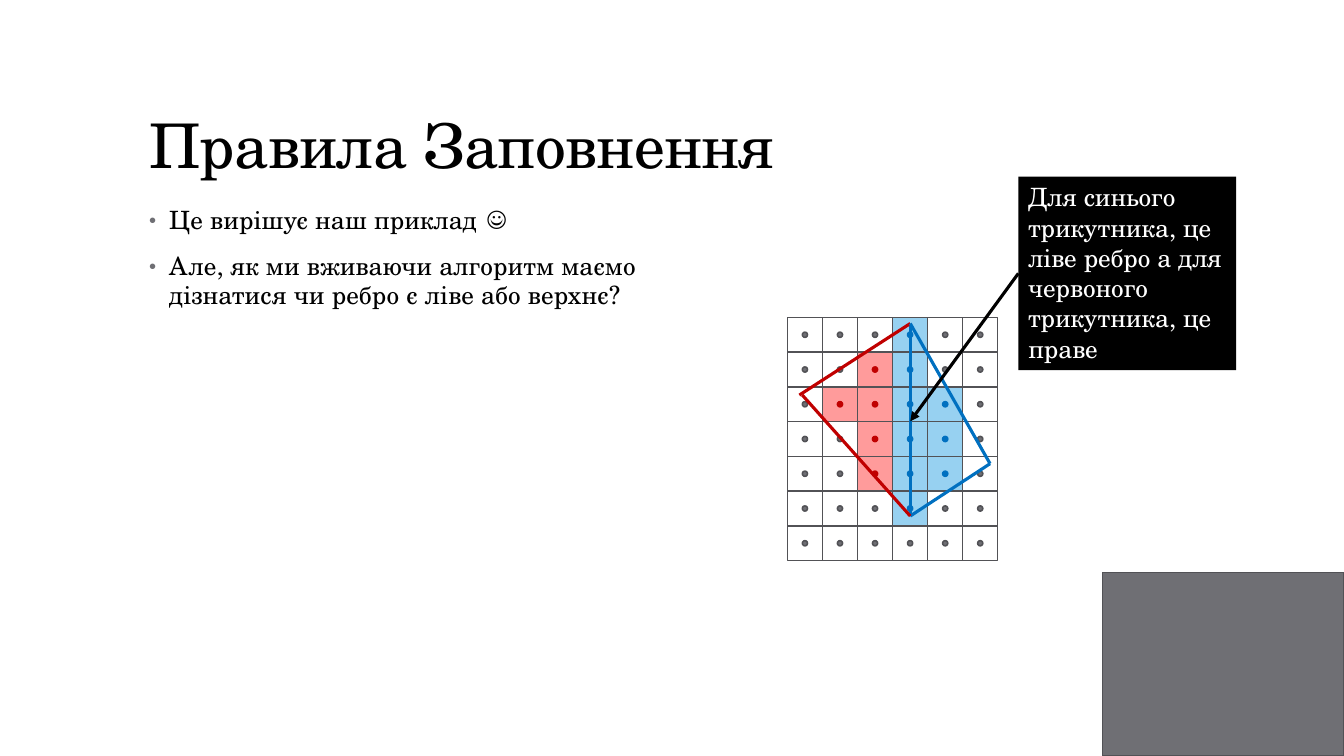
import pptx
import pptx.util
import pptx.dml.color
import pptx.enum.shapes
import pptx.enum.text
import pptx.oxml.ns
import lxml.etree
from dataclasses import dataclass

Pt = pptx.util.Pt
SHAPE = pptx.enum.shapes.MSO_SHAPE
ANCHOR = pptx.enum.text.MSO_ANCHOR


@dataclass(frozen=True)
class Theme:
    font: str = "TeX Gyre Schola"
    title_size: float = 44
    text_size: float = 18
    black: str = "000000"
    white: str = "FFFFFF"
    grey: str = "6F6F74"
    outline: str = "525256"
    blue: str = "0070C0"
    red: str = "C00000"
    pale_blue: str = "97D1F1"
    pale_red: str = "FF9B9B"
    thin: float = 1.1
    thick: float = 2.25


THEME = Theme()

# Content: lengths in points
TITLE = "Правила Заповнення"
BULLETS = [  # text, top, height
    ("Це вирішує наш приклад ☺", 144, 33),
    ("Але, як ми вживаючи алгоритм маємо дізнатися чи ребро є ліве або верхнє?", 177, 60.5),
]
CALLOUT = "Для синього трикутника, це ліве ребро а для червоного трикутника, це праве"

# Pixels by row: R is red, B is blue, a dot is not filled
PIXELS = [
    "...B..",
    "..RB..",
    ".RRBB.",
    "..RBB.",
    "..RBB.",
    "...B..",
    "......",
]
PIXEL_COLOURS = {  # cell fill, dot fill, dot outline
    ".": (None, THEME.grey, THEME.outline),
    "R": (THEME.pale_red, THEME.red, THEME.red),
    "B": (THEME.pale_blue, THEME.blue, THEME.blue),
}
GRID_LEFT, GRID_TOP = 562.4, 226.7
CELL_WIDTH, CELL_HEIGHT = 25.05, 24.82
DOT = 3.7

APEX, BASE, BLUE_CORNER = (650.2, 231.1), (650.2, 368.6), (707.2, 331.2)
EDGES = [
    (APEX, BASE, THEME.blue),
    (APEX, (571, 282.2), THEME.red),
    (BLUE_CORNER, APEX, THEME.blue),
    (BASE, BLUE_CORNER, THEME.blue),
    (BASE, (573.1, 282.2), THEME.red),
]
SHARED_EDGE_MIDDLE = (650.2, 301)


def rgb(colour):
    return pptx.dml.color.RGBColor.from_string(colour)


def add_child(parent, tag, **attributes):
    child = lxml.etree.SubElement(parent, pptx.oxml.ns.qn(tag))
    for name, value in attributes.items():
        child.set(name, value)
    return child


def write(frame, text, *, size=THEME.text_size, colour=THEME.black, anchor=ANCHOR.TOP,
          line_spacing=None, tracking=None, bullet=False):
    frame.word_wrap = True
    frame.auto_size = pptx.enum.text.MSO_AUTO_SIZE.NONE
    frame.vertical_anchor = anchor
    paragraph = frame.paragraphs[0]
    paragraph.alignment = pptx.enum.text.PP_ALIGN.LEFT
    if line_spacing:
        paragraph.line_spacing = line_spacing
    if bullet:
        properties = paragraph._p.get_or_add_pPr()
        properties.set("marL", str(Pt(14.4)))
        properties.set("indent", str(-Pt(14.4)))
        add_child(add_child(properties, "a:buClr"), "a:srgbClr", val=THEME.grey)
        add_child(properties, "a:buSzPct", val="80000")
        add_child(properties, "a:buFont", typeface="Arial")
        add_child(properties, "a:buChar", char="•")
    run = paragraph.add_run()
    run.text = text
    run.font.name = THEME.font
    run.font.size = Pt(size)
    run.font.color.rgb = rgb(colour)
    if tracking:
        run._r.get_or_add_rPr().set("spc", str(tracking))


def add_block(slide, kind, left, top, width, height, fill=None, outline=None):
    block = slide.shapes.add_shape(kind, Pt(left), Pt(top), Pt(width), Pt(height))
    block.shadow.inherit = False
    if fill:
        block.fill.solid()
        block.fill.fore_color.rgb = rgb(fill)
    else:
        block.fill.background()
    if outline:
        block.line.color.rgb = rgb(outline)
        block.line.width = Pt(THEME.thin)
    else:
        block.line.fill.background()
    return block


def add_line(slide, start, end, colour):
    line = slide.shapes.add_connector(
        pptx.enum.shapes.MSO_CONNECTOR.STRAIGHT, *map(Pt, start + end))
    line.line.color.rgb = rgb(colour)
    line.line.width = Pt(THEME.thick)
    add_child(line._element.spPr, "a:effectLst")
    return line


def main():
    deck = pptx.Presentation()
    deck.slide_width, deck.slide_height = Pt(960), Pt(540)
    slide = deck.slides.add_slide(deck.slide_layouts[5])

    # Corner panel
    add_block(slide, SHAPE.RECTANGLE, 787.7, 409, 172.3, 131, THEME.grey, THEME.outline)

    # Title
    title = slide.shapes.title
    title.left, title.top, title.width, title.height = map(Pt, (99.4, 28.8, 763.2, 133.2 - 28.8 + 28.8))
    title.height = Pt(104.4)
    write(title.text_frame, TITLE, size=THEME.title_size, anchor=ANCHOR.BOTTOM,
          line_spacing=0.9, tracking=-50)

    # Bullets
    for text, top, height in BULLETS:
        box = slide.shapes.add_textbox(Pt(99.4), Pt(top), Pt(413.3), Pt(height))
        write(box.text_frame, text, line_spacing=0.95, tracking=10, bullet=True)

    # Pixel grid with a sample dot in the middle of each cell
    for row, pixels in enumerate(PIXELS):
        for column, pixel in enumerate(pixels):
            cell_fill, dot_fill, dot_outline = PIXEL_COLOURS[pixel]
            left = GRID_LEFT + column * CELL_WIDTH
            top = GRID_TOP + row * CELL_HEIGHT
            add_block(slide, SHAPE.RECTANGLE, left, top, CELL_WIDTH, CELL_HEIGHT,
                      cell_fill, THEME.outline)
            add_block(slide, SHAPE.OVAL, left + (CELL_WIDTH - DOT) / 2,
                      top + (CELL_HEIGHT - DOT) / 2, DOT, DOT, dot_fill, dot_outline)

    # Triangle edges
    for start, end, colour in EDGES:
        add_line(slide, start, end, colour)

    # Callout and its arrow to the shared edge
    callout = add_block(slide, SHAPE.RECTANGLE, 727.4, 126.2, 155.6, 138.2, THEME.black)
    write(callout.text_frame, CALLOUT, colour=THEME.white)
    arrow = add_line(slide, (727.4, 195.3), SHARED_EDGE_MIDDLE, THEME.black)
    arrow.begin_connect(callout, 1)
    add_child(arrow.line._get_or_add_ln(), "a:tailEnd", type="triangle")

    deck.save("out.pptx")


if __name__ == "__main__":
    main()
